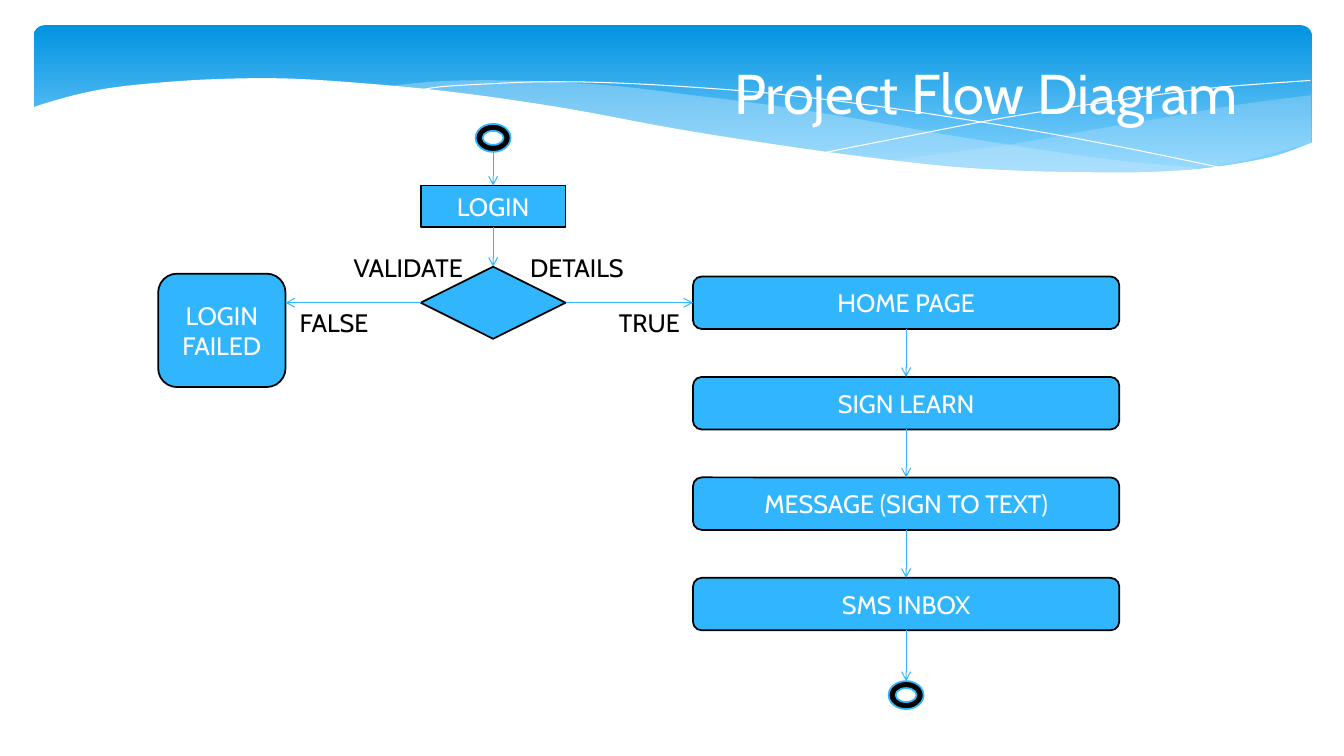
"""Build the project flow diagram slide."""
from lxml.etree import SubElement
from pptx import Presentation
from pptx.dml.color import RGBColor
from pptx.enum.shapes import MSO_CONNECTOR, MSO_SHAPE
from pptx.enum.text import MSO_ANCHOR, PP_ALIGN
from pptx.oxml.ns import qn
from pptx.util import Pt

COLORS = {"black": "000000", "white": "FFFFFF", "blue": "31B6FD",
          "header_top": "0293E0", "header_bottom": "83D3FE", "tint": "C6E7FC"}
FONT = "Cabin"

TITLE = ("Project Flow Diagram", 517.5, 38, 379.5, 55.5)
LABELS = [("VALIDATE", 245.5, 176.5), ("DETAILS", 371.5, 176.5),
          ("FALSE", 207, 216), ("TRUE", 435, 216)]
LABEL_SIZE = (95, 29)
PAGES = ["HOME PAGE", "SIGN LEARN", "MESSAGE (SIGN TO TEXT)", "SMS INBOX"]
PAGE_LEFT, PAGE_TOP, PAGE_WIDTH, PAGE_HEIGHT, PAGE_PITCH = 495, 197.5, 304.5, 37.5, 71.75
LOGIN_CENTER, LOGIN_WIDTH = 352.25, 103.5
MARKER_WIDTH, MARKER_HEIGHT = 25, 20
START_TOP, END_TOP = 88.5, 486.5

HEADER = (24, 18, 913, 112.5)
RIGHT_TINT = [
    [(936.5, 68), (883, 75), (826, 85), (773, 94), (723, 103), (678, 109), (635, 115)],
    [(635, 115), (677, 118), (727, 122), (771, 124), (819, 123.5), (861, 119.5),
     (898, 112.5), (936.5, 102)]]
MIDDLE_TINT = [
    [(857, 120), (802, 115), (744, 107), (678, 96.5), (604, 83.5), (546, 74.5),
     (494, 68), (446, 62), (403, 59), (364, 57.5), (330, 57.5), (301, 59), (275, 62)],
    [(275, 62), (328, 67.5), (388, 76), (431, 83.5), (508, 97), (577, 108),
     (639, 115.5), (693, 120.5), (743, 123.5), (785, 124.5), (824, 123.5), (857, 120)]]
FALLING_LINE = [(297, 65), (315, 62), (348, 60), (385, 58.5), (432, 59), (490, 62),
                (558, 67.5), (638, 77.5), (730, 92), (798, 104.5), (871, 119.5)]
RISING_LINE = [(589, 109), (645, 98), (718, 84), (803, 71), (860, 63.5), (900, 60),
               (936, 57.5)]
WHITE_WAVE = [
    [(22.5, 77), (35, 73), (57, 67), (81, 62.5), (114, 59), (154, 56.5), (203, 56),
     (260, 59.5), (326, 66), (402, 77), (483, 92), (556, 103.5), (621, 112.5),
     (680, 119), (730, 122), (776, 123), (816, 123), (852, 121), (883, 117),
     (912, 111), (938, 101.5)],
    [(938, 161), (22.5, 161)]]


def color(name):
    return RGBColor.from_string(COLORS[name])


def smooth(points, steps=5):
    if len(points) < 3:
        return points
    padded = [points[0], *points, points[-1]]
    curve = [points[0]]
    for a, b, c, d in zip(padded, padded[1:], padded[2:], padded[3:]):
        for step in range(1, steps + 1):
            t = step / steps
            curve.append(tuple(
                q + t / 2 * (r - p + t * (2 * p - 5 * q + 4 * r - s
                                          + t * (3 * (q - r) + s - p)))
                for p, q, r, s in zip(a, b, c, d)))
    return curve


def add_wave(page, edges, fill=None, opacity=100):
    points = [(Pt(x), Pt(y)) for edge in edges for x, y in smooth(edge)]
    builder = page.shapes.build_freeform(*points[0])
    builder.add_line_segments(points[1:], close=fill is not None)
    wave = builder.convert_to_shape()
    wave.shadow.inherit = False
    if fill is None:
        wave.fill.background()
        wave.line.color.rgb = color("white")
        wave.line.width = Pt(0)
        return
    wave.line.fill.background()
    wave.fill.solid()
    wave.fill.fore_color.rgb = color(fill)
    if opacity < 100:
        tint = next(wave.fill._xPr.iter(qn("a:srgbClr")))
        SubElement(tint, qn("a:alpha")).set("val", str(opacity * 1000))


def add_header(page):
    header = page.shapes.add_shape(MSO_SHAPE.ROUNDED_RECTANGLE, *map(Pt, HEADER))
    header.adjustments[0] = 0.071
    header.shadow.inherit = False
    header.line.fill.background()
    header.fill.gradient()
    header.fill.gradient_angle = 270
    stops = zip(header.fill.gradient_stops, ["header_top", "header_bottom"], [0, 0.9])
    for stop, name, position in stops:
        stop.color.rgb = color(name)
        stop.position = position
    add_wave(page, RIGHT_TINT, "tint", 29)
    add_wave(page, MIDDLE_TINT, "tint", 40)
    add_wave(page, [FALLING_LINE])
    add_wave(page, [RISING_LINE])
    add_wave(page, WHITE_WAVE, "white")


def write(frame, text, size, name, align):
    frame.text = text
    for para in frame.paragraphs:
        para.alignment = align
        for span in para.runs:
            span.font.size = Pt(size)
            span.font.name = FONT
            span.font.color.rgb = color(name)


def add_text(page, text, left, top, width, height, size, name):
    box = page.shapes.add_textbox(Pt(left), Pt(top), Pt(width), Pt(height))
    box.text_frame.word_wrap = False
    write(box.text_frame, text, size, name, PP_ALIGN.LEFT)


def add_node(page, kind, left, top, width, height, text="", fill="blue", line="black"):
    node = page.shapes.add_shape(kind, Pt(left), Pt(top), Pt(width), Pt(height))
    node.shadow.inherit = False
    node.fill.solid()
    node.fill.fore_color.rgb = color(fill)
    node.line.color.rgb = color(line)
    node.line.width = Pt(1.25)
    if text:
        node.text_frame.vertical_anchor = MSO_ANCHOR.MIDDLE
        write(node.text_frame, text, 18, "white", PP_ALIGN.CENTER)
    return node


def add_marker(page, center, top):
    return add_node(page, MSO_SHAPE.DONUT, center - MARKER_WIDTH / 2, top,
                    MARKER_WIDTH, MARKER_HEIGHT, fill="black", line="blue")


def add_arrow(page, start, end, source=None, target=None):
    arrow = page.shapes.add_connector(MSO_CONNECTOR.STRAIGHT, *map(Pt, start + end))
    if source:
        arrow.begin_connect(*source)
    if target:
        arrow.end_connect(*target)
    arrow.line.color.rgb = color("blue")
    arrow.line.width = Pt(0.75)
    SubElement(arrow.line._get_or_add_ln(), qn("a:tailEnd")).set("type", "arrow")
    SubElement(arrow._element.spPr, qn("a:effectLst"))


def add_flow(page):
    login_left = LOGIN_CENTER - LOGIN_WIDTH / 2
    page_center = PAGE_LEFT + PAGE_WIDTH / 2
    add_marker(page, LOGIN_CENTER, START_TOP)
    login = add_node(page, MSO_SHAPE.RECTANGLE, login_left, 132.5, LOGIN_WIDTH, 29.5, "LOGIN")
    check = add_node(page, MSO_SHAPE.FLOWCHART_DECISION, login_left, 190.5, LOGIN_WIDTH, 51.5)
    add_node(page, MSO_SHAPE.ROUNDED_RECTANGLE, 113, 195.5, 91, 81, "LOGIN\nFAILED")
    steps = [add_node(page, MSO_SHAPE.ROUNDED_RECTANGLE, PAGE_LEFT,
                      PAGE_TOP + row * PAGE_PITCH, PAGE_WIDTH, PAGE_HEIGHT, text)
             for row, text in enumerate(PAGES)]
    add_marker(page, page_center, END_TOP)

    middle = PAGE_TOP + PAGE_HEIGHT / 2
    add_arrow(page, (LOGIN_CENTER, START_TOP + MARKER_HEIGHT), (LOGIN_CENTER, 132.5),
              target=(login, 0))
    add_arrow(page, (LOGIN_CENTER, 162), (LOGIN_CENTER, 190.5), (login, 2), (check, 0))
    add_arrow(page, (login_left, middle), (204, middle), (check, 1))
    add_arrow(page, (login_left + LOGIN_WIDTH, middle), (PAGE_LEFT, middle),
              (check, 3), (steps[0], 1))
    for row, step in enumerate(steps):
        bottom = PAGE_TOP + row * PAGE_PITCH + PAGE_HEIGHT
        last = step is steps[-1]
        end = END_TOP if last else PAGE_TOP + (row + 1) * PAGE_PITCH
        add_arrow(page, (page_center, bottom), (page_center, end), (step, 2),
                  None if last else (steps[row + 1], 0))


def main():
    deck = Presentation()
    deck.slide_width, deck.slide_height = Pt(960), Pt(540)
    page = deck.slides.add_slide(deck.slide_layouts[6])
    add_header(page)
    add_text(page, *TITLE, 40, "white")
    add_flow(page)
    for text, left, top in LABELS:
        add_text(page, text, left, top, *LABEL_SIZE, 18, "black")
    deck.save("out.pptx")


if __name__ == "__main__":
    main()
